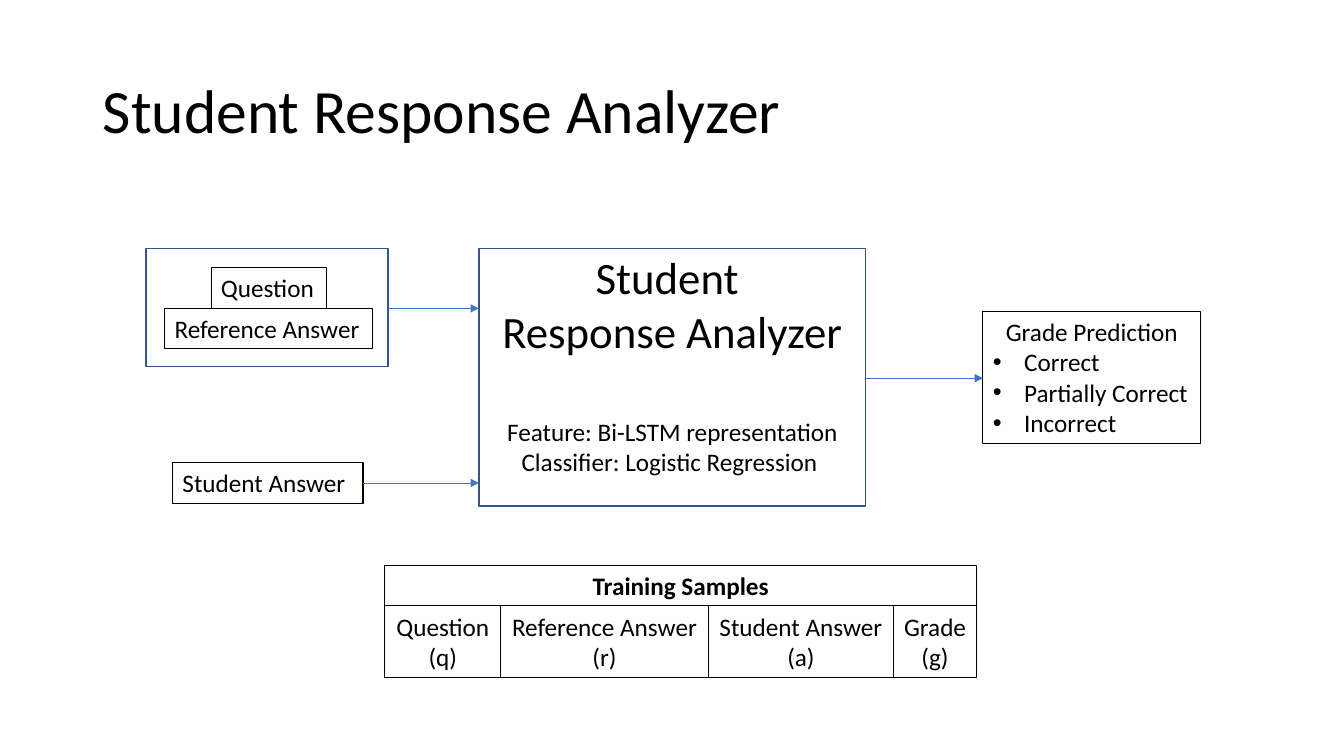
from lxml import etree
from pptx import Presentation
from pptx import util as u
from pptx.dml.color import RGBColor
from pptx.enum import shapes, text
from pptx.oxml.ns import qn

FONT = "Calibri"
BLACK, FRAME_BLUE, ARROW_BLUE = "000000", "325491", "4472C4"
LEFT, CENTER = text.PP_ALIGN.LEFT, text.PP_ALIGN.CENTER


def color(hex_code):
    return RGBColor.from_string(hex_code)


def add_run(paragraph, words, size=18, bold=False):
    run = paragraph.add_run()
    run.text = words
    run.font.name = FONT
    run.font.size = u.Pt(size)
    run.font.bold = bold
    run.font.color.rgb = color(BLACK)


def add_bullet(paragraph):
    props = paragraph._p.get_or_add_pPr()
    indent = u.Cm(0.79)
    props.set("marL", str(indent))
    props.set("indent", str(-indent))
    etree.SubElement(props, qn("a:buFont")).set("typeface", "Arial")
    etree.SubElement(props, qn("a:buChar")).set("char", "•")


def add_box(slide, left, top, width, height, line=BLACK, weight=0.75):
    box = slide.shapes.add_shape(shapes.MSO_SHAPE.RECTANGLE, u.Cm(left), u.Cm(top),
                                 u.Cm(width), u.Cm(height))
    box.shadow.inherit = False
    box.fill.background()
    box.line.color.rgb = color(line)
    box.line.width = u.Pt(weight)
    return box


def write_lines(box, lines, align=CENTER, size=18, bold=False, wrap=False):
    frame = box.text_frame
    frame.word_wrap = wrap
    frame.vertical_anchor = text.MSO_ANCHOR.TOP
    for number, words in enumerate(lines):
        paragraph = frame.add_paragraph() if number else frame.paragraphs[0]
        paragraph.alignment = align
        add_run(paragraph, words, size, bold)
    return frame


def add_arrow(slide, start, end, y):
    arrow = slide.shapes.add_connector(shapes.MSO_CONNECTOR.STRAIGHT, u.Cm(start), u.Cm(y),
                                       u.Cm(end), u.Cm(y))
    arrow.line.color.rgb = color(ARROW_BLUE)
    arrow.line.width = u.Pt(0.5)
    etree.SubElement(arrow.line._get_or_add_ln(), qn("a:tailEnd")).set("type", "triangle")
    etree.SubElement(arrow._element.spPr, qn("a:effectLst"))


def add_title(slide, words):
    title = slide.shapes.title
    title.left, title.top, title.width, title.height = map(u.Cm, (2.34, 1.02, 29.21, 3.68))
    title.text_frame.vertical_anchor = text.MSO_ANCHOR.MIDDLE
    heading = title.text_frame.paragraphs[0]
    heading.alignment = LEFT
    heading.line_spacing = 0.9
    add_run(heading, words, 44)


def add_analyzer(slide):
    analyzer = add_box(slide, 12.07, 6.27, 9.75, 6.48, FRAME_BLUE, 1)
    frame = write_lines(analyzer, ["Student ", "Response Analyzer"], size=32, wrap=True)
    frame.margin_top = u.Cm(0.03)
    for words, gap in (("Feature: Bi-LSTM representation", 42),
                       ("Classifier: Logistic Regression ", 0)):
        detail = frame.add_paragraph()
        detail.alignment = CENTER
        detail.space_before = u.Pt(gap)
        add_run(detail, words)


def add_grades(slide):
    prediction = add_box(slide, 24.77, 7.85, 5.49, 3.33)
    frame = write_lines(prediction, ["Grade Prediction"])
    for grade in ("Correct", "Partially Correct", "Incorrect"):
        item = frame.add_paragraph()
        add_bullet(item)
        item.alignment = LEFT
        add_run(item, grade)


def add_training_samples(slide):
    left, top, header_height = 9.7, 14.25, 1.02
    fields = [("Question", "(q)", 2.92), ("Reference Answer", "(r)", 5.23),
              ("Student Answer", "(a)", 4.67), ("Grade", "(g)", 2.09)]
    header = add_box(slide, left, top, sum(field[2] for field in fields), header_height)
    write_lines(header, ["Training Samples"], bold=True, wrap=True)
    for name, symbol, width in fields:
        write_lines(add_box(slide, left, top + header_height, width, 1.8), [name, symbol])
        left += width


def main():
    prs = Presentation()
    prs.slide_width, prs.slide_height = u.Cm(33.87), u.Cm(19.05)
    slide = prs.slides.add_slide(prs.slide_layouts[5])
    add_title(slide, "Student Response Analyzer")

    # Inputs
    add_box(slide, 3.68, 6.27, 6.1, 2.97, FRAME_BLUE, 1)
    write_lines(add_box(slide, 5.32, 6.75, 2.9, 1.02), ["Question"], LEFT)
    for words, left, top, width in (("Reference Answer", 4.15, 7.77, 5.25),
                                    ("Student Answer", 4.35, 11.66, 4.8)):
        write_lines(add_box(slide, left, top, width, 1.02), [words], LEFT, wrap=True)

    # Analyzer and its result
    add_analyzer(slide)
    add_grades(slide)

    # Flow
    for start, end, y in ((9.78, 12.07, 7.77), (9.15, 12.07, 12.17), (21.82, 24.77, 9.53)):
        add_arrow(slide, start, end, y)

    # Training data
    add_training_samples(slide)
    prs.save("out.pptx")


if __name__ == "__main__":
    main()
